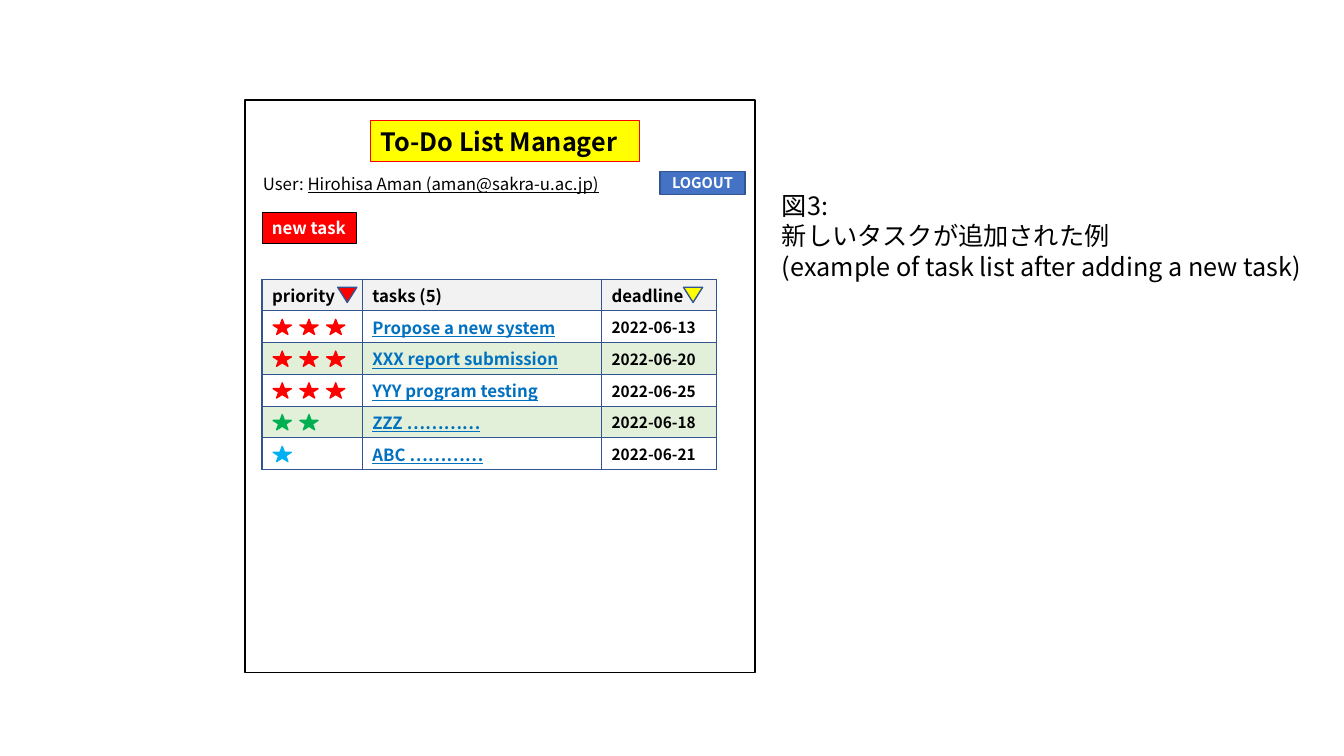
from pptx import Presentation
from pptx.util import Pt
from pptx.dml.color import RGBColor
from pptx.enum.shapes import MSO_SHAPE as Kind
from pptx.enum.text import MSO_ANCHOR as Anchor, PP_ALIGN as Align
from pptx.oxml import parse_xml
from pptx.oxml.ns import nsdecls

FONT = "Noto Sans CJK JP"
BLUE = "325491"


def color(text):
    return RGBColor.from_string(text)


def write(frame, lines, size, tint="000000", bold=False, under=None):
    frame.word_wrap = False
    for i, line in enumerate(lines):
        para = frame.paragraphs[0] if i == 0 else frame.add_paragraph()
        para.alignment = Align.LEFT
        for text in line:
            para.add_run().text = text
        font = para.font
        font.name, font.size, font.bold = FONT, Pt(size), bold
        font.underline = under
        font.color.rgb = color(tint)


deck = Presentation()
deck.slide_width, deck.slide_height = Pt(960), Pt(540)
slide = deck.slides.add_slide(deck.slide_layouts[6])
shapes = slide.shapes

left, top, row_h = 187.2, 199.4, 22.7
widths = [71.6, 170.9, 82]
tasks = [
    ("Propose a new system", "2022-06-13", 3),
    ("XXX report submission", "2022-06-20", 3),
    ("YYY program testing", "2022-06-25", 3),
    ("ZZZ …………", "2022-06-18", 2),
    ("ABC …………", "2022-06-21", 1),
]
hues = {3: "FF0000", 2: "00B050", 1: "00B0F0"}

forms = [
    (Kind.RECTANGLE, 175, 71.3, 364.3, 409, "FFFFFF", "000000", 1),
    (Kind.RECTANGLE, 265, 86.4, 191.5, 29, "FFFF00", "FF0000", 0.75),
    (Kind.RECTANGLE, 471.6, 122.4, 60.5, 16.6, "4472C4", BLUE, 1),
    (Kind.RECTANGLE, 187.2, 151.9, 67.7, 21.8, "FF0000", "000000", 0.75),
]

grid = shapes.add_table(
    len(tasks) + 1, 3, Pt(left), Pt(top), Pt(sum(widths)), Pt(row_h * 6)
)
table = grid.table
for col, width in zip(table.columns, widths):
    col.width = Pt(width)
for row in table.rows:
    row.height = Pt(row_h)

for r, values in enumerate(
    [("priority", "tasks (5)", "deadline")] + [("", t, d) for t, d, n in tasks]
):
    fill = "F2F2F2" if r == 0 else "FFFFFF" if r % 2 else "E2F0D9"
    for c, text in enumerate(values):
        cell = table.cell(r, c)
        cell.margin_top = cell.margin_bottom = 0
        cell.vertical_anchor = Anchor.MIDDLE
        link = r > 0 and c == 1
        size = 11 if r > 0 and c == 2 else 12
        write(cell.text_frame, [[text]], size, "0070C0" if link else "000000",
              True, link)
        props = cell._tc.get_or_add_tcPr()
        for side in ("lnL", "lnR", "lnT", "lnB"):
            props.append(parse_xml(
                f'<a:{side} {nsdecls("a")} w="12700"><a:solidFill>'
                f'<a:srgbClr val="{BLUE}"/></a:solidFill></a:{side}>'
            ))
        cell.fill.solid()
        cell.fill.fore_color.rgb = color(fill)

for x, hue in ((241.2, "FF0000"), (488.2, "FFFF00")):
    forms.append((Kind.FLOWCHART_MERGE, x, 205.2, 13.7, 10.8, hue, BLUE, 1))
for r, (name, date, count) in enumerate(tasks, 1):
    hue = hues[count]
    for i in range(count):
        forms.append((Kind.STAR_5_POINT, left + 7.9 + 19.1 * i,
                      top + row_h * r + 6, 13, 10.8, hue, hue, 1))

drawn = []
for kind, x, y, w, h, fill, edge, thick in forms:
    shape = shapes.add_shape(kind, Pt(x), Pt(y), Pt(w), Pt(h))
    shape.shadow.inherit = False
    shape.fill.solid()
    shape.fill.fore_color.rgb = color(fill)
    shape.line.color.rgb = color(edge)
    shape.line.width = Pt(thick)
    drawn.append(shape)

page, title, logout, new = drawn[:4]
page_tag = page._element
page_tag.getparent().insert(2, page_tag)

for shape, text, size, tint in (
    (title, "To-Do List Manager", 18, "000000"),
    (logout, "LOGOUT", 10.5, "FFFFFF"),
    (new, "new task", 12, "FFFFFF"),
):
    frame = shape.text_frame
    frame.vertical_anchor = Anchor.TOP
    write(frame, [[text]], size, tint, True)
logout.text_frame.vertical_anchor = Anchor.MIDDLE
logout.text_frame.paragraphs[0].alignment = Align.CENTER

user = shapes.add_textbox(Pt(180.7), Pt(120.2), Pt(261.4), Pt(21.8)).text_frame
write(user, [["User: ", "Hirohisa Aman (aman@sakra-u.ac.jp)"]], 12)
user.paragraphs[0].runs[1].font.underline = True

note = shapes.add_textbox(Pt(551.5), Pt(132.5), Pt(393.8), Pt(72.7)).text_frame
write(note, [
    ["図3:"],
    ["新しいタスクが追加された例"],
    ["(example of task list after adding a new task)"],
], 18)

deck.save("out.pptx")
